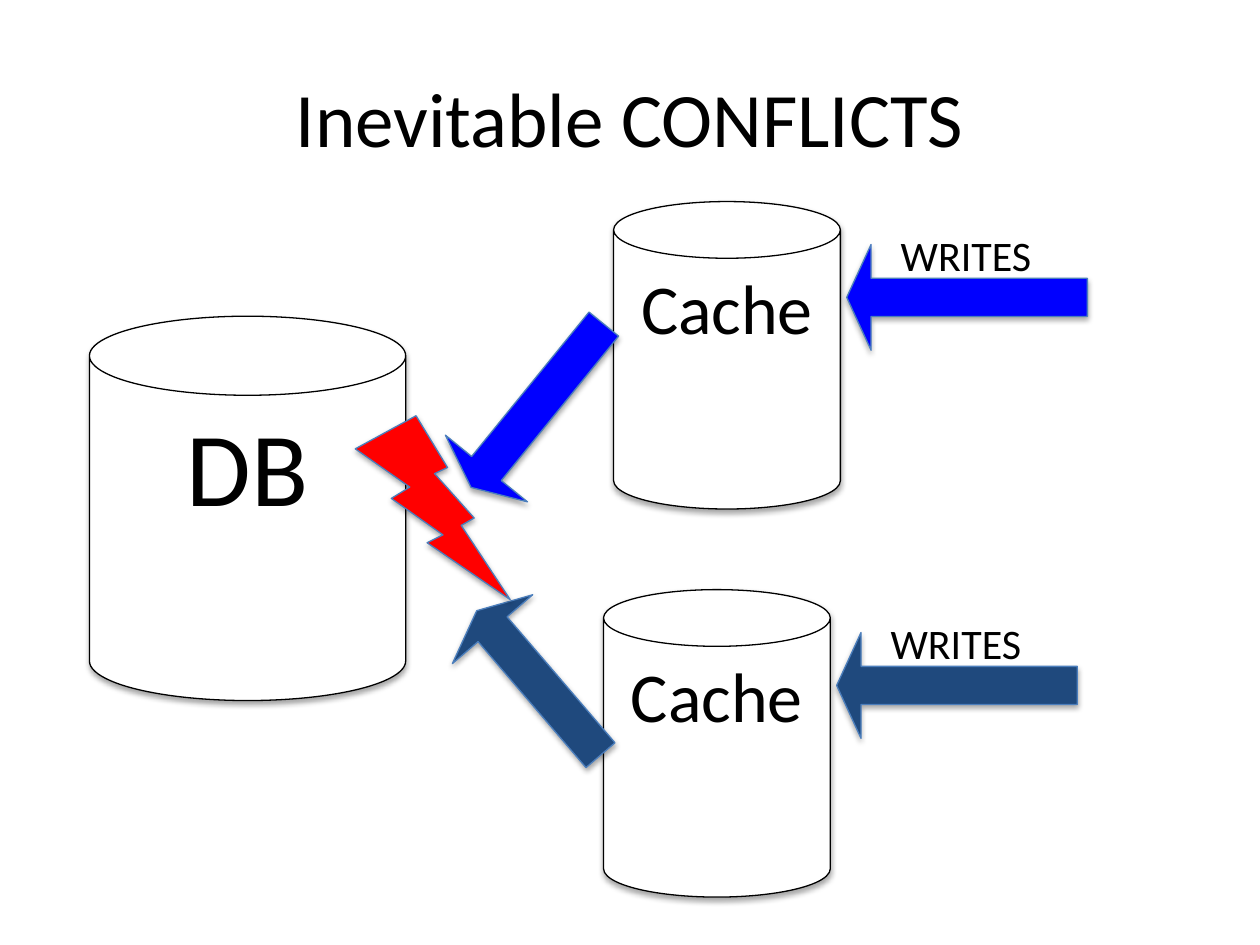
import pptx
import pptx.dml.color
import pptx.enum.shapes
import pptx.enum.text
import pptx.oxml
import pptx.oxml.ns
import pptx.util

SHAPE = pptx.enum.shapes.MSO_SHAPE
ALIGN = pptx.enum.text.PP_ALIGN
ANCHOR = pptx.enum.text.MSO_ANCHOR
COLORS = {
    "paper": "FFFFFF",
    "ink": "000000",
    "edge": "4B7EBC",
    "upper": "0000FF",
    "lower": "1F497D",
    "conflict": "FF0000",
}
COLUMNS, ROWS = 100, 75
SLIDE_WIDTH, SLIDE_HEIGHT = pptx.util.Inches(10), pptx.util.Inches(7.5)
SHADOW = (
    '<a:outerShdw %s blurRad="40000" dist="23000" dir="5400000" rotWithShape="0">'
    '<a:srgbClr val="%s"><a:alpha val="35000"/></a:srgbClr></a:outerShdw>'
)


def color(name):
    return pptx.dml.color.RGBColor.from_string(COLORS[name])


def grid(left, top, width, height):
    column, row = SLIDE_WIDTH / COLUMNS, SLIDE_HEIGHT / ROWS
    return [round(v) for v in (left * column, top * row, width * column, height * row)]


def write(frame, text, size, align):
    para = frame.paragraphs[0]
    para.alignment = align
    span = para.add_run()
    span.text = text
    span.font.size = pptx.util.Pt(size)
    span.font.name = "Calibri"
    span.font.color.rgb = color("ink")


def add_title(page, text):
    title = page.shapes.title
    title.left, title.top, title.width, title.height = grid(5, 3, 90, 12.5)
    title.text_frame.vertical_anchor = ANCHOR.MIDDLE
    write(title.text_frame, text, 44, ALIGN.CENTER)


def add_block(page, kind, place, fill, line):
    block = page.shapes.add_shape(kind, *grid(*place))
    block.fill.solid()
    block.fill.fore_color.rgb = color(fill)
    block.line.color.rgb = color(line)
    block.line.width = pptx.util.Pt(0.75)
    block.shadow.inherit = False
    effects = block._element.spPr.find(pptx.oxml.ns.qn("a:effectLst"))
    effects.append(pptx.oxml.parse_xml(SHADOW % (pptx.oxml.ns.nsdecls("a"), COLORS["ink"])))
    return block


def add_store(page, place, text, size):
    store = add_block(page, SHAPE.CAN, place, "paper", "ink")
    store.text_frame.vertical_anchor = ANCHOR.TOP
    write(store.text_frame, text, size, ALIGN.CENTER)


def add_arrow(page, place, angle, fill):
    arrow = add_block(page, SHAPE.RIGHT_ARROW, place, fill, "edge")
    arrow.adjustments[0] = 0.36
    arrow.adjustments[1] = 0.23
    arrow.rotation = angle


def add_label(page, place, text):
    box = page.shapes.add_textbox(*grid(*place))
    box.text_frame.word_wrap = True
    box.text_frame.auto_size = pptx.enum.text.MSO_AUTO_SIZE.SHAPE_TO_FIT_TEXT
    write(box.text_frame, text, 24, ALIGN.LEFT)


def add_cache(page, left, top, fill, update_place, update_angle):
    add_store(page, (left, top, 18, 24.4), "Cache", 40)
    add_arrow(page, (left + 18.5, top + 3.4, 19.1, 8.4), 180, fill)
    add_label(page, (left + 21.8, top + 1.7, 13.4, 5), "WRITES")
    add_arrow(page, update_place, update_angle, fill)


def main():
    deck = pptx.Presentation()
    deck.slide_width, deck.slide_height = SLIDE_WIDTH, SLIDE_HEIGHT
    page = deck.slides.add_slide(deck.slide_layouts[5])
    add_title(page, "Inevitable CONFLICTS")
    add_store(page, (7.1, 25.1, 25.1, 30.5), "DB", 60)
    add_cache(page, 47.9, 46.8, "lower", (35.2, 50, 15.1, 8.4), 229.4)
    add_cache(page, 48.7, 16, "upper", (34.3, 28, 16.7, 8.4), 129.1)
    add_block(page, SHAPE.LIGHTNING_BOLT, (28.2, 33, 12.3, 14.6), "conflict", "edge")
    deck.save("out.pptx")


if __name__ == "__main__":
    main()
